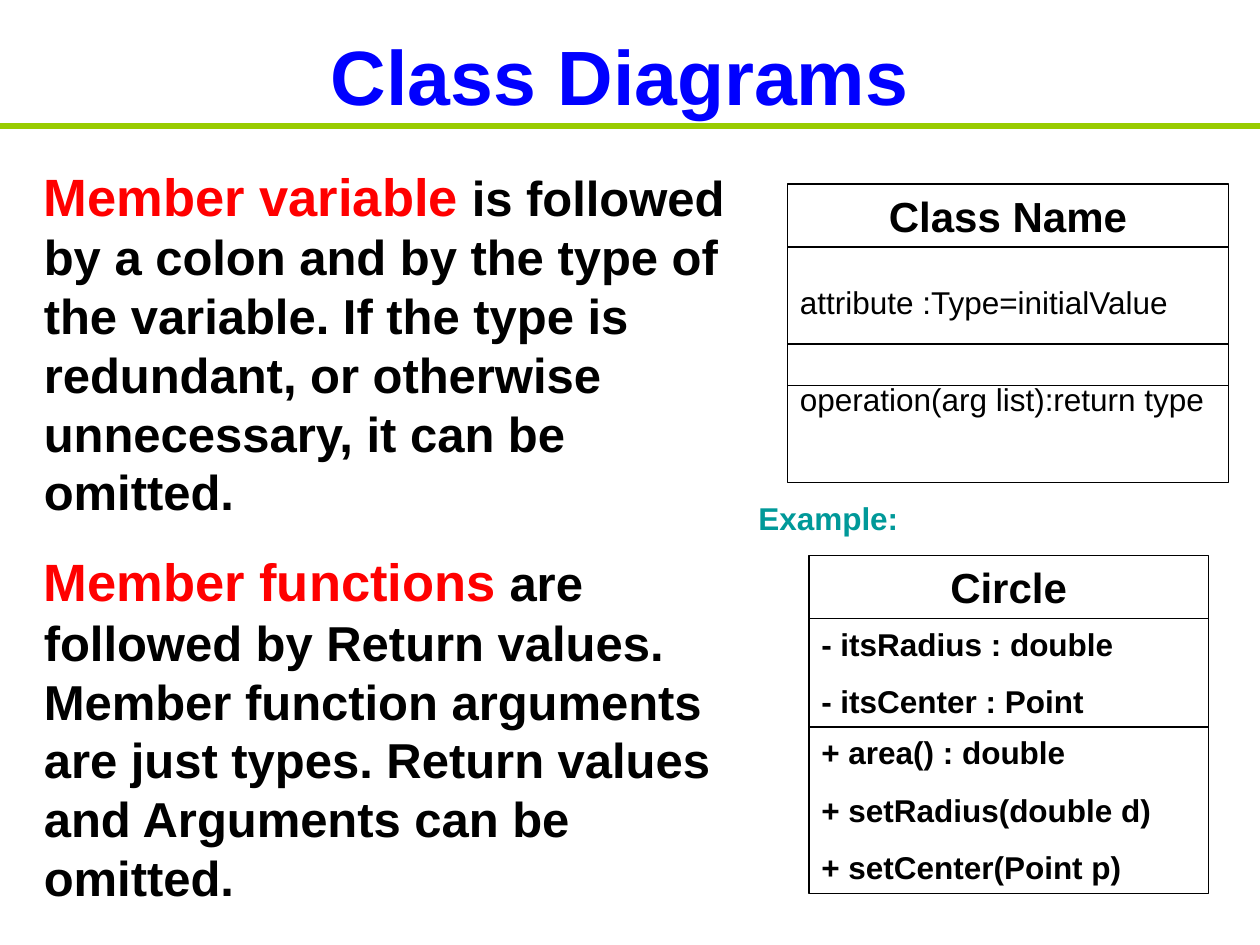
import pptx
import pptx.dml.color
import pptx.enum.shapes
import pptx.enum.text
import pptx.oxml.ns
import pptx.util
from lxml import etree

Inches = pptx.util.Inches
Pt = pptx.util.Pt
Align = pptx.enum.text.PP_ALIGN
Anchor = pptx.enum.text.MSO_ANCHOR

COLORS = {"title": "0000FF", "rule": "99CC00", "term": "FF0000",
          "example": "009999", "ink": "000000"}
FONT = "Arial"
WIDTH, HEIGHT = 10, 7.5
TEXT_LEFT, TEXT_WIDTH, TEXT_HEIGHT = 0.25, 5.67, 2.94
HEADER_HEIGHT = 0.5
MEMBER_INSET = 0.29  # lowers the single member line inside its compartment


def rgb(name):
    return pptx.dml.color.RGBColor.from_string(COLORS[name])


def write_text(shape, paragraphs, size=18, color="ink", bold=True,
               align=Align.LEFT, anchor=Anchor.TOP, gap=0, top_inset=0.05):
    """Each paragraph is a string, or a list of (text, size, color) runs."""
    frame = shape.text_frame
    frame.word_wrap = True
    frame.auto_size = pptx.enum.text.MSO_AUTO_SIZE.NONE
    frame.vertical_anchor = anchor
    frame.margin_left = frame.margin_right = Inches(0.1)
    frame.margin_top, frame.margin_bottom = Inches(top_inset), Inches(0.05)
    for index, content in enumerate(paragraphs):
        paragraph = frame.add_paragraph() if index else frame.paragraphs[0]
        paragraph.alignment = align
        paragraph.space_before = Pt(gap if index else 0)
        runs = [(content, size, color)] if isinstance(content, str) else content
        for text, run_size, run_color in runs:
            run = paragraph.add_run()
            run.text = text
            run.font.name = FONT
            run.font.size = Pt(run_size)
            run.font.bold = bold
            run.font.color.rgb = rgb(run_color)


def add_title(slide, text):
    title = slide.shapes.title
    title.left, title.top = Inches(0.67), Inches(0.17)
    title.width, title.height = Inches(8.5), Inches(0.85)
    write_text(title, [text], size=44, color="title",
               align=Align.CENTER, anchor=Anchor.MIDDLE)


def add_rule(slide, top):
    rule = slide.shapes.add_connector(
        pptx.enum.shapes.MSO_CONNECTOR.STRAIGHT,
        0, Inches(top), Inches(WIDTH), Inches(top))
    rule.line.color.rgb = rgb("rule")
    rule.line.width = Pt(3)
    properties = rule.element.find(pptx.oxml.ns.qn("p:spPr"))
    etree.SubElement(properties, pptx.oxml.ns.qn("a:effectLst"))


def add_text(slide, left, top, width, height, paragraphs, **text_format):
    box = slide.shapes.add_textbox(
        Inches(left), Inches(top), Inches(width), Inches(height))
    write_text(box, paragraphs, **text_format)


def add_explanation(slide, top, term, explanation):
    runs = [(term, 30, "term"), (explanation, 28, "ink")]
    add_text(slide, TEXT_LEFT, top, TEXT_WIDTH, TEXT_HEIGHT, [runs])


def add_compartment(group, left, top, width, height, lines, **text_format):
    box = group.shapes.add_shape(
        pptx.enum.shapes.MSO_SHAPE.RECTANGLE,
        Inches(left), Inches(top), Inches(width), Inches(height))
    box.shadow.inherit = False
    box.fill.background()
    box.line.color.rgb = rgb("ink")
    box.line.width = Pt(0.75)
    write_text(box, lines, **text_format)


def add_class(slide, left, top, width, name, compartments, **member_format):
    """Compartments are (offset below the header, height, lines)."""
    group = slide.shapes.add_group_shape()
    add_compartment(group, left, top, width, HEADER_HEIGHT, [name],
                    size=24, align=Align.CENTER)
    for offset, height, lines in compartments:
        add_compartment(group, left, top + HEADER_HEIGHT + offset, width,
                        height, lines, **member_format)


def main():
    presentation = pptx.Presentation()
    presentation.slide_width = Inches(WIDTH)
    presentation.slide_height = Inches(HEIGHT)
    slide = presentation.slides.add_slide(presentation.slide_layouts[5])

    # Heading
    add_title(slide, "Class Diagrams")
    add_rule(slide, 1)

    # Explanations on the left
    add_explanation(slide, 1.25, "Member variable",
                    " is followed by a colon and by the type of the variable. "
                    "If the type is redundant, or otherwise unnecessary, "
                    "it can be omitted.")
    add_explanation(slide, 4.31, "Member functions",
                    " are followed by Return values. Member function arguments "
                    "are just types. Return values and Arguments can be omitted.")

    # General class notation, whose two member compartments overlap
    add_class(slide, 6.25, 1.46, 3.5, "Class Name",
              [(0, 1.1, ["attribute :Type=initialValue"]),
               (0.77, 1.1, ["operation(arg list):return type"])],
              bold=False, top_inset=MEMBER_INSET)

    # Example class
    add_text(slide, 5.92, 3.91, 2, 0.4, ["Example:"], color="example")
    add_class(slide, 6.42, 4.41, 3.17, "Circle",
              [(0, 0.86, ["- itsRadius : double", "- itsCenter : Point"]),
               (0.86, 1.32, ["+ area() : double", "+ setRadius(double d)",
                             "+ setCenter(Point p)"])],
              gap=11.2)

    presentation.save("out.pptx")


if __name__ == "__main__":
    main()
